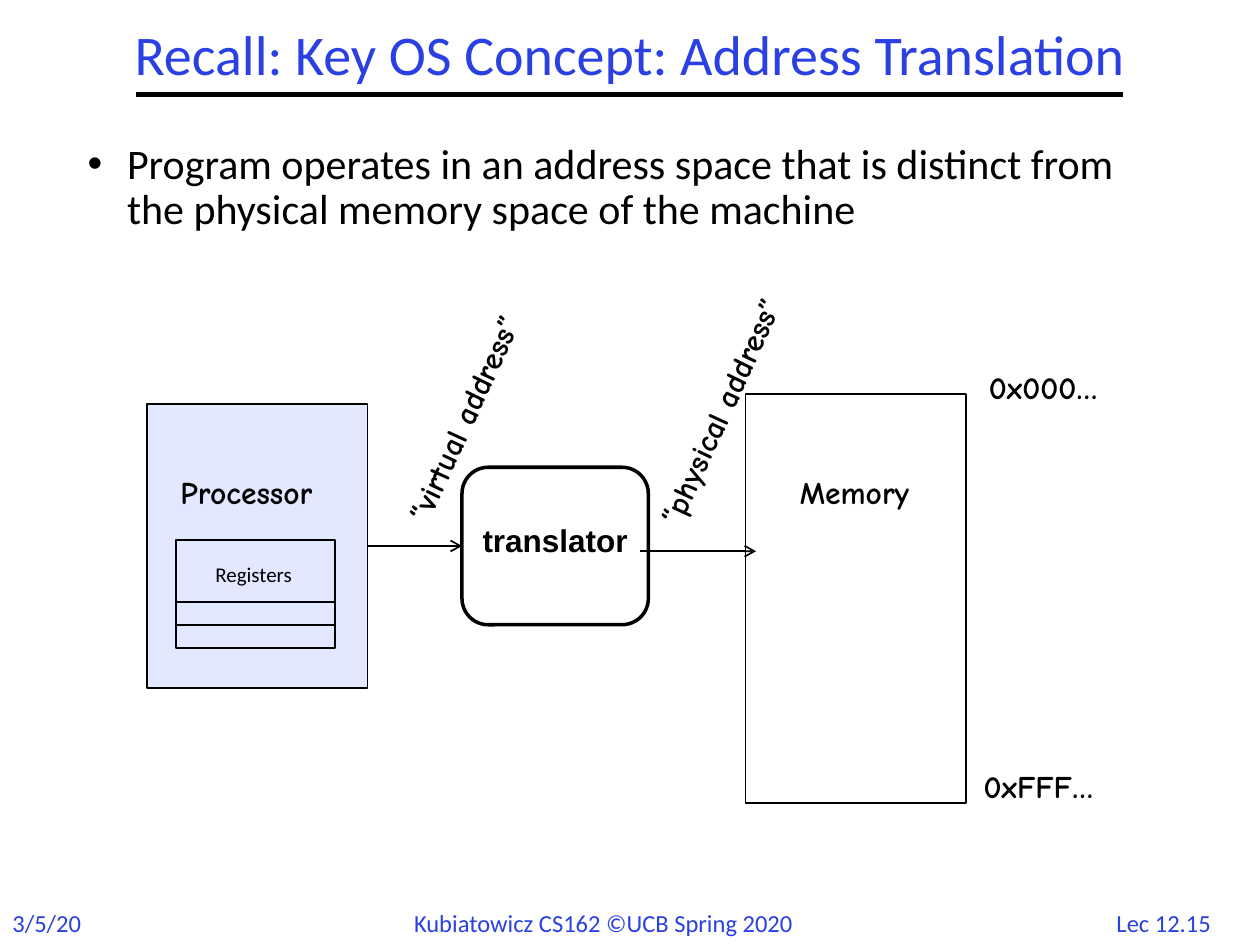
from lxml.etree import SubElement
from pptx import Presentation
from pptx.dml.color import RGBColor
from pptx.enum.shapes import MSO_CONNECTOR, MSO_SHAPE
from pptx.enum.text import MSO_ANCHOR, PP_ALIGN
from pptx.oxml.ns import qn
from pptx.util import Pt

BLUE = RGBColor(0x2A, 0x40, 0xE2)
BLACK = RGBColor(0, 0, 0)
WHITE = RGBColor(0xFF, 0xFF, 0xFF)
PALE = RGBColor(0xE2, 0xE8, 0xFF)
BODY_FONT, LABEL_FONT, BOX_FONT = "Calibri", "Comic Neue", "Arial"

TITLE = "Recall: Key OS Concept: Address Translation"
BULLET = ("Program operates in an address space that is distinct from "
          "the physical memory space of the machine")
FOOTER_TOP, FOOTER_HEIGHT = 515.5, 24.5
FOOTERS = [
    ("Lec 12.15", 628, 74, PP_ALIGN.CENTER),
    ("3/5/20", 0, 54, PP_ALIGN.LEFT),
    ("Kubiatowicz CS162 ©UCB Spring 2020", 229.5, 261.5, PP_ALIGN.LEFT),
]
MEMORY = (426, 225, 126, 234)
PROCESSOR = (84, 231, 126, 162)
TRANSLATOR = (264, 267, 106.5, 90)
REGISTERS = (100.5, 308.5, 91, 62)
REGISTER_ROW = (100.5, 344, 91, 13)
LABEL_HEIGHT, SLANT = 29, 294.7
LABELS = [
    ("Processor", 96, 267, 96.5, 0),
    ("Memory", 450, 267, 80, 0),
    ("0x000…", 558, 207, 82, 0),
    ("0xFFF…", 555, 435, 85, 0),
    ("“virtual address”", 193, 222.5, 145.5, SLANT),
    ("“physical address”", 332, 217, 162, SLANT),
]
ARROWS = [(210, 264, 312), (366, 432, 315)]


def points(*lengths):
    return [Pt(length) for length in lengths]


def write(shape, text, size, font, color=BLACK, bold=False, align=PP_ALIGN.LEFT):
    para = shape.text_frame.paragraphs[0]
    para.alignment = align
    span = para.add_run()
    span.text = text
    span.font.size = Pt(size)
    span.font.name = font
    span.font.bold = bold
    span.font.color.rgb = color
    return para


def add_text(shapes, place, text, size, font, wrap=False, **style):
    box = shapes.add_textbox(*points(*place))
    box.text_frame.word_wrap = wrap
    return box, write(box, text, size, font, **style)


def add_box(shapes, place, fill=None, width=1, kind=MSO_SHAPE.RECTANGLE):
    box = shapes.add_shape(kind, *points(*place))
    box.shadow.inherit = False
    if fill is None:
        box.fill.background()
    else:
        box.fill.solid()
        box.fill.fore_color.rgb = fill
    box.line.color.rgb = BLACK
    box.line.width = Pt(width)
    return box


def add_line(shapes, left, right, level, width=1, arrow=False):
    line = shapes.add_connector(MSO_CONNECTOR.STRAIGHT, *points(left, level, right, level))
    line.line.color.rgb = BLACK
    line.line.width = Pt(width)
    if arrow:
        SubElement(line.line._get_or_add_ln(), qn("a:tailEnd"), type="arrow")
    SubElement(line._element.spPr, qn("a:effectLst"))


def add_bullet(para, indent):
    properties = para._p.get_or_add_pPr()
    properties.set("marL", str(Pt(indent)))
    properties.set("indent", str(-Pt(indent)))
    SubElement(properties, qn("a:buFont"), typeface="Arial")
    SubElement(properties, qn("a:buChar"), char="•")


def main():
    deck = Presentation()
    deck.slide_width, deck.slide_height = points(720, 540)
    shapes = deck.slides.add_slide(deck.slide_layouts[6]).shapes

    for text, left, width, align in FOOTERS:
        add_text(shapes, (left, FOOTER_TOP, width, FOOTER_HEIGHT), text, 14,
                 BODY_FONT, color=BLUE, align=align)
    add_line(shapes, 78, 642, 54, width=3)

    add_box(shapes, MEMORY)
    add_box(shapes, PROCESSOR, PALE)

    title, para = add_text(shapes, (6, 12, 708, 42), TITLE, 32, BODY_FONT, wrap=True,
                           color=BLUE, align=PP_ALIGN.CENTER)
    title.text_frame.vertical_anchor = MSO_ANCHOR.MIDDLE
    para.line_spacing = 0.9
    body, para = add_text(shapes, (43, 78, 605, 96), BULLET, 24, BODY_FONT, wrap=True)
    para.line_spacing = 0.9
    add_bullet(para, 22.5)

    translator = add_box(shapes, TRANSLATOR, WHITE, 2, MSO_SHAPE.FLOWCHART_ALTERNATE_PROCESS)
    translator.text_frame.vertical_anchor = MSO_ANCHOR.MIDDLE
    translator.text_frame.margin_bottom = Pt(10)
    write(translator, "translator", 18, BOX_FONT, bold=True, align=PP_ALIGN.CENTER)

    for left, right, level in ARROWS:
        add_line(shapes, left, right, level, arrow=True)
    for text, left, top, width, turn in LABELS:
        label, para = add_text(shapes, (left, top, width, LABEL_HEIGHT), text, 18,
                               LABEL_FONT, bold=True)
        label.rotation = turn

    registers = shapes.add_group_shape().shapes
    add_box(registers, REGISTERS)
    add_box(registers, REGISTER_ROW)
    add_text(registers, (116, 317.5, 60, 21.5), "Registers", 12, BODY_FONT)

    deck.save("out.pptx")


if __name__ == "__main__":
    main()
